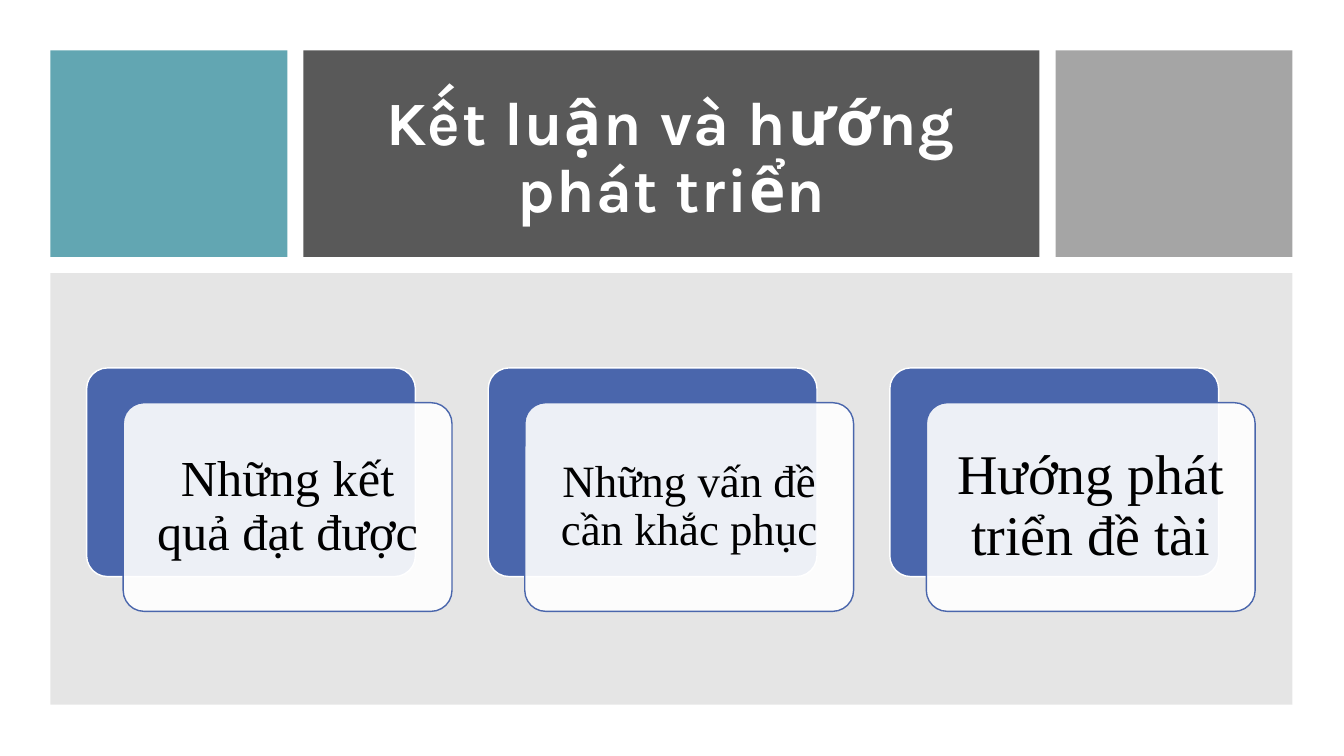
from lxml.etree import SubElement
from pptx import Presentation
from pptx.dml.color import RGBColor
from pptx.enum.shapes import MSO_SHAPE as Preset
from pptx.enum.text import MSO_ANCHOR as Anchor, PP_ALIGN as Align
from pptx.oxml.ns import qn
from pptx.util import Inches, Pt

COLOURS = {
    "teal": "5AA2AE",
    "charcoal": "595959",
    "silver": "A5A5A5",
    "panel": "808080",
    "blue": "4A66AC",
    "white": "FFFFFF",
    "black": "000000",
}
TITLE = "Kết luận và hướng phát triển"
# wording, text size in points, text margin in inches
CARDS = [
    ("Những kết quả đạt được", 36, 0.15),
    ("Những vấn đề cần khắc phục", 32, 0.13),
    ("Hướng phát triển đề tài", 40, 0.17),
]


class SlideBuilder:
    """Draws on one slide; every box is left, top, width, height in percent."""

    title_font = "Karla"
    card_font = "Times New Roman"
    line_spacing = 0.9

    def __init__(self, presentation):
        self.width = presentation.slide_width
        self.height = presentation.slide_height
        self.slide = presentation.slides.add_slide(presentation.slide_layouts[6])

    def place(self, box):
        sides = (self.width, self.height) * 2
        return [round(share * side / 100) for share, side in zip(box, sides)]

    def colour(self, name):
        return RGBColor.from_string(COLOURS[name])

    def block(self, box, fill, opacity=100, line=None, preset=Preset.RECTANGLE):
        shape = self.slide.shapes.add_shape(preset, *self.place(box))
        shape.shadow.inherit = False
        shape.fill.solid()
        shape.fill.fore_color.rgb = self.colour(fill)
        if opacity < 100:
            colour_element = shape.fill._xPr.find(qn("a:solidFill"))[0]
            SubElement(colour_element, qn("a:alpha"), val=str(opacity * 1000))
        if line:
            shape.line.color.rgb = self.colour(line)
            shape.line.width = Pt(1)
        else:
            shape.line.fill.background()
        return shape

    def rounded(self, box, fill, line, opacity=100):
        shape = self.block(box, fill, opacity, line, Preset.ROUNDED_RECTANGLE)
        shape.adjustments[0] = 0.1

    def text(self, box, wording, size, font, colour, margin=None, bold=False):
        frame = self.slide.shapes.add_textbox(*self.place(box)).text_frame
        frame.word_wrap = True
        frame.vertical_anchor = Anchor.MIDDLE
        if margin is not None:
            frame.margin_left = frame.margin_right = Inches(margin)
            frame.margin_top = frame.margin_bottom = Inches(margin)
        paragraph = frame.paragraphs[0]
        paragraph.alignment = Align.CENTER
        paragraph.line_spacing = self.line_spacing
        run = paragraph.add_run()
        run.text = wording
        run.font.size = Pt(size)
        run.font.name = font
        run.font.bold = bold
        run.font.color.rgb = self.colour(colour)
        return run

    def title(self, box, wording):
        run = self.text(box, wording, 44, self.title_font, "white", bold=True)
        run.font._element.set("spc", "100")

    def card(self, left, top, wording, size, margin):
        """A blue plate with a translucent plate shifted over it."""
        width, height = 24.46, 27.6
        shift_x, shift_y = 2.72, 4.6
        inset_x, inset_y = 0.45, 0.8
        self.rounded((left, top, width, height), "blue", "white")
        left, top = left + shift_x, top + shift_y
        self.rounded((left, top, width, height), "white", "blue", opacity=90)
        inner = (left + inset_x, top + inset_y, width - 2 * inset_x, height - 2 * inset_y)
        self.text(inner, wording, size, self.card_font, "black", margin)


def main():
    presentation = Presentation()
    presentation.slide_width = Inches(13.33)
    presentation.slide_height = Inches(7.5)
    builder = SlideBuilder(presentation)

    header_top, header_height = 6.67, 27.33
    builder.block((3.75, header_top, 17.63, header_height), "teal", opacity=95)
    builder.block((22.58, header_top, 54.76, header_height), "charcoal")
    builder.title((24.98, 10.67, 49.96, 20.8), TITLE)
    builder.block((78.54, header_top, 17.63, header_height), "silver")
    builder.block((3.75, 36.13, 92.42, 57.07), "panel", opacity=20)

    first_left, card_top, card_pitch = 6.45, 48.67, 29.88
    for column, (wording, size, margin) in enumerate(CARDS):
        builder.card(first_left + column * card_pitch, card_top, wording, size, margin)

    presentation.save("out.pptx")


if __name__ == "__main__":
    main()
